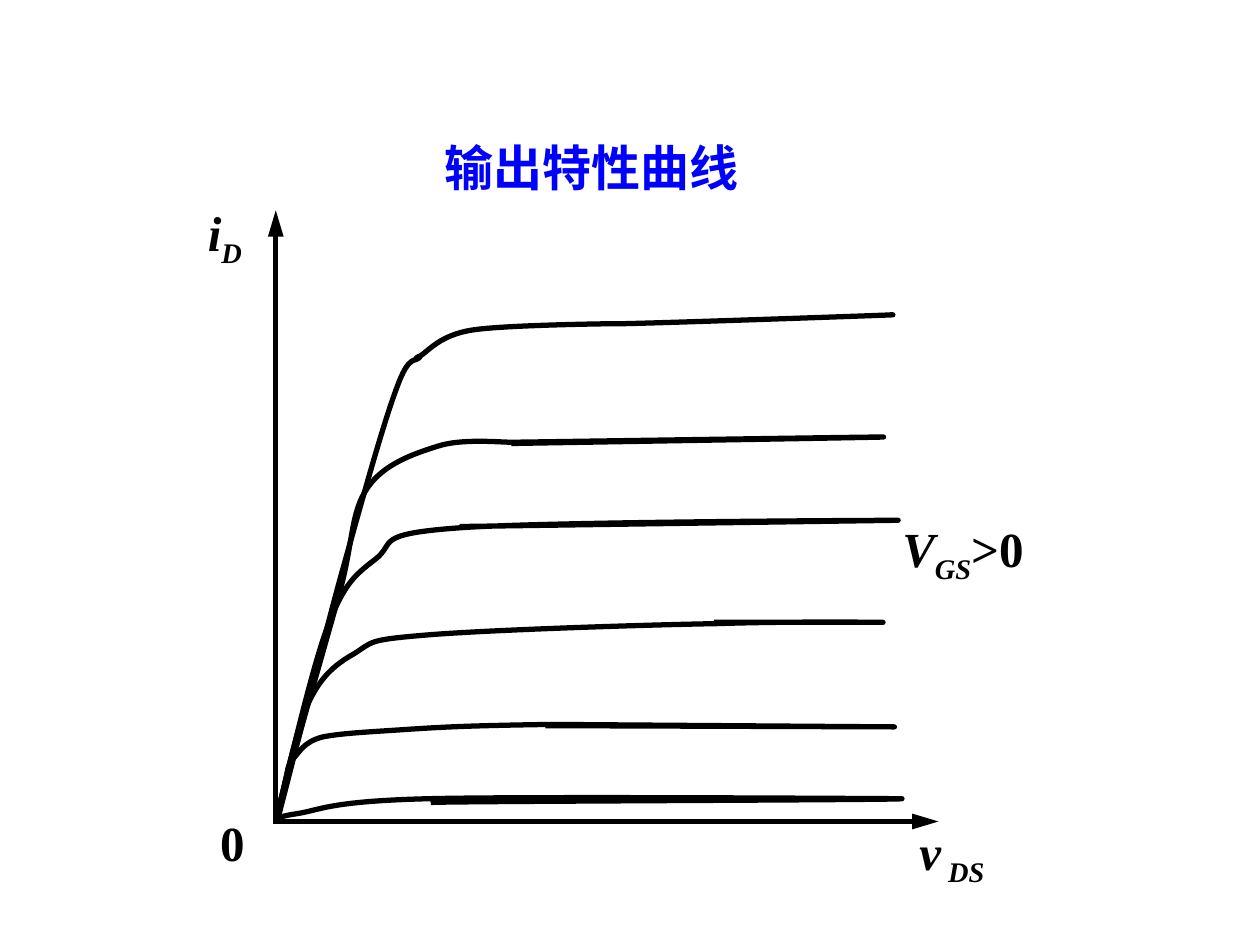
import pptx
import pptx.util
import pptx.dml.color
import pptx.enum.shapes
import pptx.enum.text
import pptx.oxml.ns
import lxml.etree

Cm = pptx.util.Cm
Pt = pptx.util.Pt
qn = pptx.oxml.ns.qn
ANCHOR = pptx.enum.text.MSO_ANCHOR
ALIGN = pptx.enum.text.PP_ALIGN

BLACK = "000000"
BLUE = "0000FF"
SERIF = "Times New Roman"
PLOT_UNIT = 0.0254  # cm per plot unit

# Each curve: start point, then segments of three points (Bézier) or one (straight).
# Points are plot units right of and above the origin, lowest gate voltage first.
CURVES = [
    ((1, 0), [
        [(4, 1), (-4, 3), (16, 6)], [(36, 9), (41, 16), (121, 18)],
        [(201, 20), (497, 18), (497, 18)], [(497, 17), (124, 16), (123, 15)]]),
    ((1, 0), [
        [(3, 5), (6, 25), (8, 33)], [(10, 42), (9, 44), (14, 50)],
        [(19, 55), (22, 63), (37, 67)], [(52, 70), (74, 71), (104, 73)],
        [(134, 75), (154, 76), (219, 77)], [(491, 75)], [(214, 76)]]),
    ((0, 0), [
        [(4, 15), (15, 69), (25, 92)], [(35, 114), (46, 124), (62, 133)],
        [(78, 143), (72, 144), (120, 148)], [(169, 152), (291, 156), (351, 157)],
        [(412, 159), (483, 158), (482, 158)], [(482, 158), (351, 158), (348, 158)]]),
    ((1, 6), [
        [(8, 31), (28, 120), (41, 154)], [(54, 188), (62, 195), (79, 208)],
        [(96, 221), (76, 228), (146, 233)], [(215, 238), (494, 239), (494, 239)],
        [(146, 234)]]),
    ((1, 6), [
        [(9, 35), (38, 136), (50, 179)], [(62, 222), (59, 245), (73, 265)],
        [(86, 284), (110, 292), (129, 298)], [(148, 304), (178, 301), (187, 301)],
        [(197, 301), (847, 311), (187, 300)]]),
    ((1, 0), [
        [(10, 33), (36, 138), (52, 196)], [(68, 253), (85, 315), (96, 344)],
        [(106, 372), (111, 364), (114, 368)], [(117, 372), (107, 365), (114, 369)],
        [(121, 373), (130, 386), (156, 390)], [(181, 394), (265, 395), (266, 395)],
        [(266, 394), (519, 403), (487, 402)]]),
]


def color(hex_string):
    return pptx.dml.color.RGBColor.from_string(hex_string)


def add_label(slide, left, top, width, height, runs, font=SERIF, ink=BLACK,
              anchor=ANCHOR.TOP, align=ALIGN.LEFT, wrap=True, spacing=None):
    """Runs are (text, italic, subscript) triples."""
    box = slide.shapes.add_textbox(Cm(left), Cm(top), Cm(width), Cm(height))
    frame = box.text_frame
    frame.word_wrap = wrap
    frame.auto_size = pptx.enum.text.MSO_AUTO_SIZE.SHAPE_TO_FIT_TEXT
    frame.vertical_anchor = anchor
    paragraph = frame.paragraphs[0]
    paragraph.alignment = align
    if spacing:
        paragraph.line_spacing = spacing
    for text, italic, subscript in runs:
        run = paragraph.add_run()
        run.text = text
        run.font.name = font
        run.font.size = Pt(28)
        run.font.bold = True
        run.font.italic = italic
        run.font.color.rgb = color(ink)
        if subscript:
            run.font._element.set("baseline", "-25000")


def style_stroke(line):
    line.color.rgb = color(BLACK)
    line.width = Pt(3)


def add_axis(slide, x1, y1, x2, y2):
    axis = slide.shapes.add_connector(
        pptx.enum.shapes.MSO_CONNECTOR.STRAIGHT, Cm(x1), Cm(y1), Cm(x2), Cm(y2))
    style_stroke(axis.line)
    lxml.etree.SubElement(axis.line._get_or_add_ln(), qn("a:tailEnd"),
                          type="triangle", len="lg")
    lxml.etree.SubElement(axis._element.spPr, qn("a:effectLst"))


def bend_segments(curve, segments):
    """Merge each run of three straight steps into one cubic Bézier."""
    path = curve._element.find(".//" + qn("a:path"))
    steps = iter(path.findall(qn("a:lnTo")))
    for segment in segments:
        group = [next(steps) for _ in segment]
        if len(group) == 3:
            bezier = lxml.etree.Element(qn("a:cubicBezTo"))
            group[0].addprevious(bezier)
            for step in group:
                bezier.append(step[0])
                path.remove(step)


def add_curve(slide, origin_x, origin_y, start, segments):
    def place(point):
        return (Cm(origin_x + point[0] * PLOT_UNIT), Cm(origin_y - point[1] * PLOT_UNIT))

    builder = slide.shapes.build_freeform(*place(start))
    builder.add_line_segments([place(p) for s in segments for p in s], close=False)
    curve = builder.convert_to_shape()
    bend_segments(curve, segments)
    curve.shadow.inherit = False
    curve.fill.background()
    style_stroke(curve.line)
    lxml.etree.SubElement(curve.line._get_or_add_ln(), qn("a:round"))


def add_output_characteristics(slide, left, top, width, height):
    """Axes, curves and labels; the box spans the two axes."""
    bottom = top + height
    add_label(slide, left - 1.62, top - 0.28, 5.08, 1.6,
              [("i", True, False), ("D", True, True)], anchor=ANCHOR.MIDDLE)
    add_axis(slide, left, bottom, left, top)
    add_axis(slide, left - 0.05, bottom, left + width, bottom)
    add_label(slide, left + width - 0.68, bottom - 0.13, 1.9, 1.6,
              [("v", True, False), (" DS", True, True)],
              anchor=ANCHOR.MIDDLE, align=ALIGN.CENTER, wrap=False)
    for start, segments in CURVES:
        add_curve(slide, left, bottom, start, segments)
    add_label(slide, left - 1.37, bottom - 0.3, 1.42, 1.45, [("0", False, False)])
    add_label(slide, left + 12.38, bottom - 6.24, 4.7, 1.6,
              [("V", True, False), ("GS", True, True), (">0", False, False)])


def main():
    deck = pptx.Presentation()
    deck.slide_width, deck.slide_height = Cm(25.4), Cm(19.05)
    slide = deck.slides.add_slide(deck.slide_layouts[6])
    add_label(slide, 8.72, 3.07, 8.2, 0.97, [("输出特性曲线", False, False)],
              font="Arial", ink=BLUE, spacing=0.6)
    add_output_characteristics(slide, 5.56, 4.24, 13.36, 12.32)
    deck.save("out.pptx")


if __name__ == "__main__":
    main()
